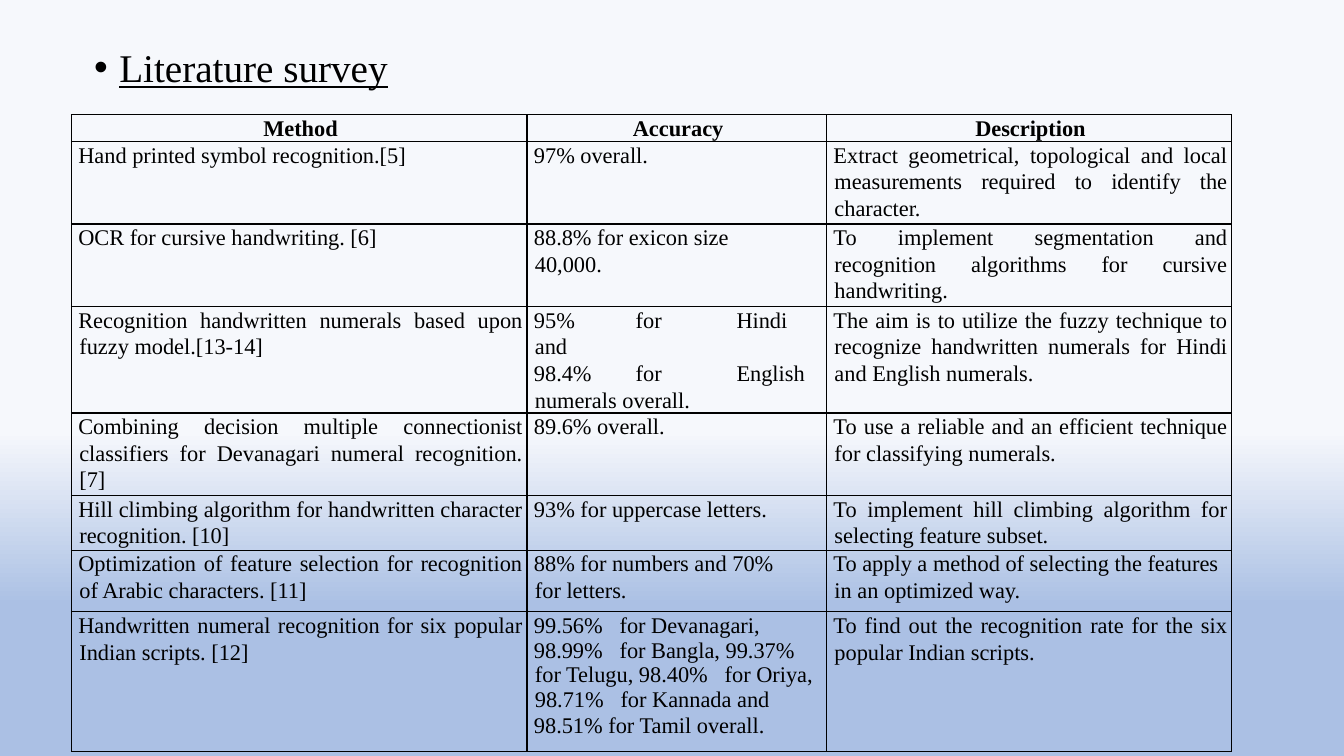
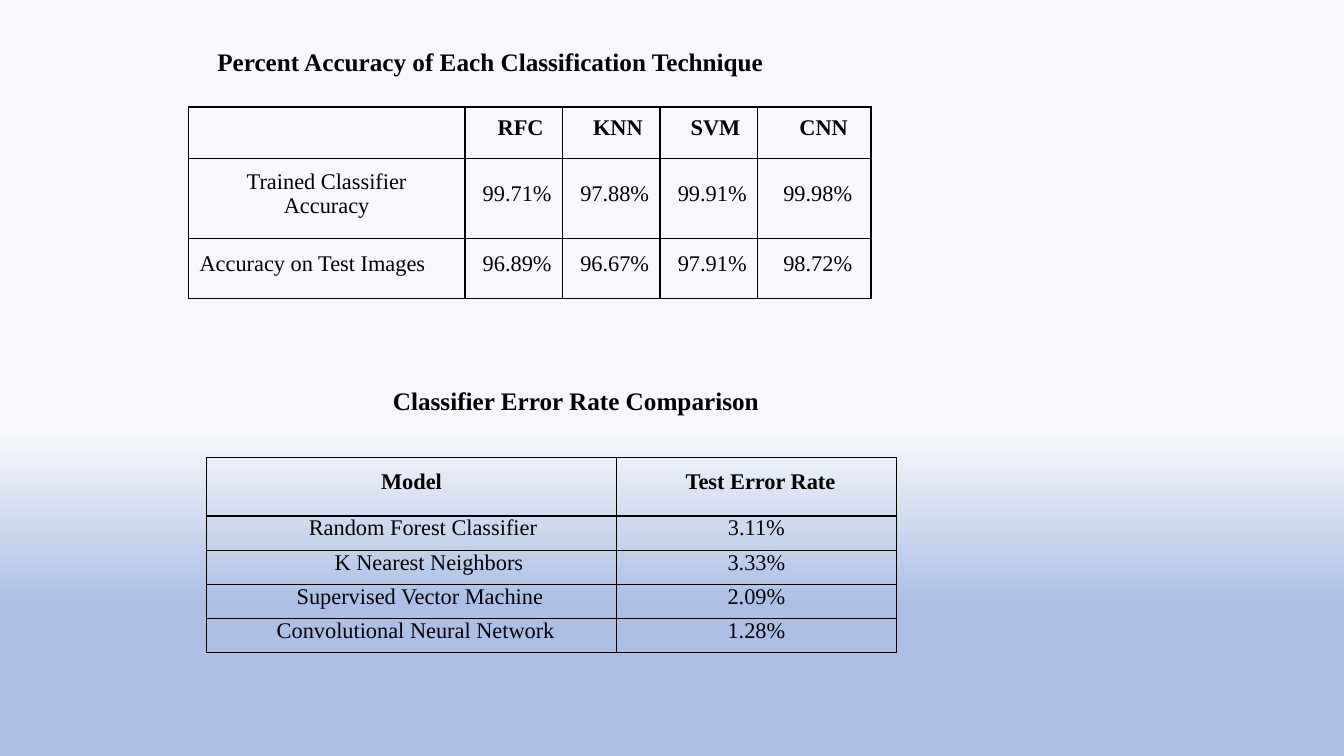
import pptx
import pptx.util
import pptx.dml.color
import pptx.enum.text
import pptx.oxml
import pptx.oxml.ns

Pt = pptx.util.Pt
ALIGN = pptx.enum.text.PP_ALIGN
MID = pptx.enum.text.MSO_ANCHOR.MIDDLE
TOP = pptx.enum.text.MSO_ANCHOR.TOP
FACE = "Times New Roman"
INK = "000000"
STOPS = [(57, "F6F8FC"), (80, "ABC0E4"), (100, "ABC0E4"), (100, "C7D5ED")]

SURVEY = [
    ["Method", "Accuracy", "Description"],
    ["Hand printed symbol recognition.[5]", "97% overall.",
     "Extract geometrical, topological and local measurements required to identify the character."],
    ["OCR for cursive handwriting. [6]", "88.8% for exicon size\v40,000.",
     "To implement segmentation and recognition algorithms for cursive handwriting."],
    ["Recognition handwritten numerals based upon fuzzy model.[13-14]",
     "95% \tfor \tHindi \tand\n98.4% \tfor \tEnglish numerals overall.",
     "The aim is to utilize the fuzzy technique to recognize handwritten numerals for Hindi and English numerals."],
    ["Combining decision multiple connectionist classifiers for Devanagari numeral recognition. [7]",
     "89.6% overall.",
     "To use a reliable and an efficient technique for classifying numerals."],
    ["Hill climbing algorithm for handwritten character recognition. [10]",
     "93% for uppercase letters.",
     "To implement hill climbing algorithm for selecting feature subset."],
    ["Optimization of feature selection for recognition of Arabic characters. [11]",
     "88% for numbers and 70%\vfor letters.",
     "To apply a method of selecting the features in an optimized way."],
    ["Handwritten numeral recognition for six popular Indian scripts. [12]",
     "99.56% for Devanagari,\n"
     "98.99% for Bangla, 99.37% for Telugu, 98.40% for Oriya, 98.71% for Kannada and\n"
     "98.51% for Tamil overall.",
     "To find out the recognition rate for the six popular Indian scripts."],
]
SCORES = [
    ["", "RFC", "KNN", "SVM", "CNN"],
    ["Trained Classifier\nAccuracy", "99.71%", "97.88%", "99.91%", "99.98%"],
    ["Accuracy on Test Images", "96.89%", "96.67%", "97.91%", "98.72%"],
]
ERRORS = [
    ["Model", "Test Error Rate"],
    ["Random Forest Classifier", "3.11%"],
    ["K Nearest Neighbors", "3.33%"],
    ["Supervised Vector Machine", "2.09%"],
    ["Convolutional Neural Network", "1.28%"],
]


def hue(code):
    """Turn a hex string into a colour."""
    return pptx.dml.color.RGBColor.from_string(code)


def node(text):
    """Build a drawing element from short markup."""
    head, tail = text.split(" ", 1)
    return pptx.oxml.parse_xml(f"{head} {pptx.oxml.ns.nsdecls('a')} {tail}")


def wash(master):
    """Give the master its vertical gradient."""
    master.background.fill.gradient()
    grad = master.element.xpath(".//p:bg//a:gradFill")[0]
    for child in list(grad):
        grad.remove(child)
    stops = "".join(
        f'<a:gs pos="{pos * 1000}"><a:srgbClr val="{hue(code)}"/></a:gs>'
        for pos, code in STOPS)
    grad.append(node(f"<a:gsLst >{stops}</a:gsLst>"))
    grad.append(node('<a:lin ang="5400000" scaled="0"/>'))


def ink(para, size, bold=False, line=False):
    """Set the font of every run in a paragraph."""
    for run in para.runs:
        font = run.font
        font.name, font.size, font.bold = FACE, Pt(size), bold
        font.underline = line
        font.color.rgb = hue(INK)


def dent(para, left, first=0):
    """Set the left margin and first-line indent."""
    props = para._p.get_or_add_pPr()
    props.set("marL", str(Pt(left)))
    props.set("indent", str(Pt(first)))
    props.set("defTabSz", str(Pt(72)))


def place(shape, box):
    """Move a shape to a box of left, top, width and height."""
    shape.left, shape.top, shape.width, shape.height = map(Pt, box)


def head(shape, box, text):
    """Write a table heading in a box."""
    place(shape, box)
    frame = shape.text_frame
    frame.word_wrap = True
    frame.vertical_anchor = TOP
    frame.text = text
    para = frame.paragraphs[0]
    para.alignment = ALIGN.LEFT
    ink(para, 18, bold=True)


def rule(cell):
    """Draw thin borders round a clear cell."""
    props = cell._tc.get_or_add_tcPr()
    for side in "LRTB":
        props.append(node(
            f'<a:ln{side} w="{Pt(1)}"><a:solidFill><a:srgbClr val="{hue(INK)}"/>'
            f"</a:solidFill></a:ln{side}>"))
    cell.fill.background()


def grid(slide, spot, cols, rows, data, pads, anchor, style):
    """Place a ruled table at a spot and style each paragraph."""
    box = (*spot, sum(cols), sum(rows))
    table = slide.shapes.add_table(len(rows), len(cols), *map(Pt, box)).table
    table.first_row = table.horz_banding = False
    for col, width in zip(table.columns, cols):
        col.width = Pt(width)
    for row, tall in zip(table.rows, rows):
        row.height = Pt(tall)
    for r, line in enumerate(data):
        for c, text in enumerate(line):
            cell = table.cell(r, c)
            rule(cell)
            cell.margin_left, cell.margin_right = map(Pt, pads)
            cell.margin_top = cell.margin_bottom = 0
            cell.vertical_anchor = anchor
            cell.text_frame.text = text
            for i, para in enumerate(cell.text_frame.paragraphs):
                style(para, r, c, i)
                ink(para, 16, bold=r == 0)


def widen(para):
    """Spread the space after each percent sign."""
    parts = para.text.split("% ")
    para.text = parts[0] + "%"
    for part in parts[1:]:
        gap = para.add_run()
        gap.text = " "
        gap._r.get_or_add_rPr().set("spc", "800")
        para.add_run().text = part + ("%" if part != parts[-1] else "")


def prose(para, r, c, i):
    """Style a paragraph of the survey table."""
    last = r == len(SURVEY) - 1 and c == 1
    if r == 0:
        para.alignment = ALIGN.CENTER
    elif c == 1 or (r, c) == (6, 2):
        para.alignment = ALIGN.LEFT
    else:
        para.alignment = ALIGN.JUSTIFY
    para.line_spacing = 0.99 if last and i == 1 else 1.07
    dent(para, 0.72, -0.72)
    if last and i < 2:
        widen(para)


def score(para, r, c, i):
    """Style a paragraph of the accuracy table."""
    side = r == 2 and c == 0
    para.alignment = ALIGN.LEFT if side else ALIGN.CENTER
    if i == 0:
        para.line_spacing = Pt(11)
    if side:
        dent(para, 8)
    elif c:
        dent(para, (0, 10, 9.5, 9.5, 13.5)[c] if r == 0 else 5)


def error(para, r, c, i):
    """Style a paragraph of the error table."""
    para.alignment = ALIGN.CENTER
    para.line_spacing = Pt(11)
    if c == 0:
        dent(para, (0, 16.5, 25, 12, 6)[r])
    elif r == 0:
        dent(para, 6)


def survey(deck):
    """Build the literature survey slide."""
    slide = deck.slides.add_slide(deck.slide_layouts[1])
    title, body = slide.placeholders
    title.element.getparent().remove(title.element)
    place(body, (60, 31, 828, 343))
    body.text_frame.text = "Literature survey"
    para = body.text_frame.paragraphs[0]
    para.line_spacing = 0.9
    para.space_before = Pt(10)
    dent(para, 18, -18)
    ink(para, 28, line=True)
    grid(slide, (51, 82), (325.4, 214, 289.4), (19, 59, 59, 76, 59, 39, 44, 100),
         SURVEY, (5, 3), TOP, prose)


def result(deck):
    """Build the slide with accuracy and error tables."""
    slide = deck.slides.add_slide(deck.slide_layouts[5])
    head(slide.shapes.title, (148, 29.5, 454, 29),
         "Percent Accuracy of Each Classification Technique")
    grid(slide, (134.6, 76.4), (197.5, 69.7, 69.7, 69.7, 81), (37, 57, 42.6),
         SCORES, (0, 0), MID, score)
    box = (273.6, 272, 285, 29)
    head(slide.shapes.add_textbox(*map(Pt, box)), box,
         "Classifier Error Rate Comparison")
    grid(slide, (147.6, 327), (292.7, 200), (41.6,) + (24.4,) * 4,
         ERRORS, (0, 0), MID, error)


def main():
    """Build and save the deck."""
    deck = pptx.Presentation()
    deck.slide_width, deck.slide_height = Pt(960), Pt(540)
    wash(deck.slide_master)
    survey(deck)
    result(deck)
    deck.save("out.pptx")


if __name__ == "__main__":
    main()
